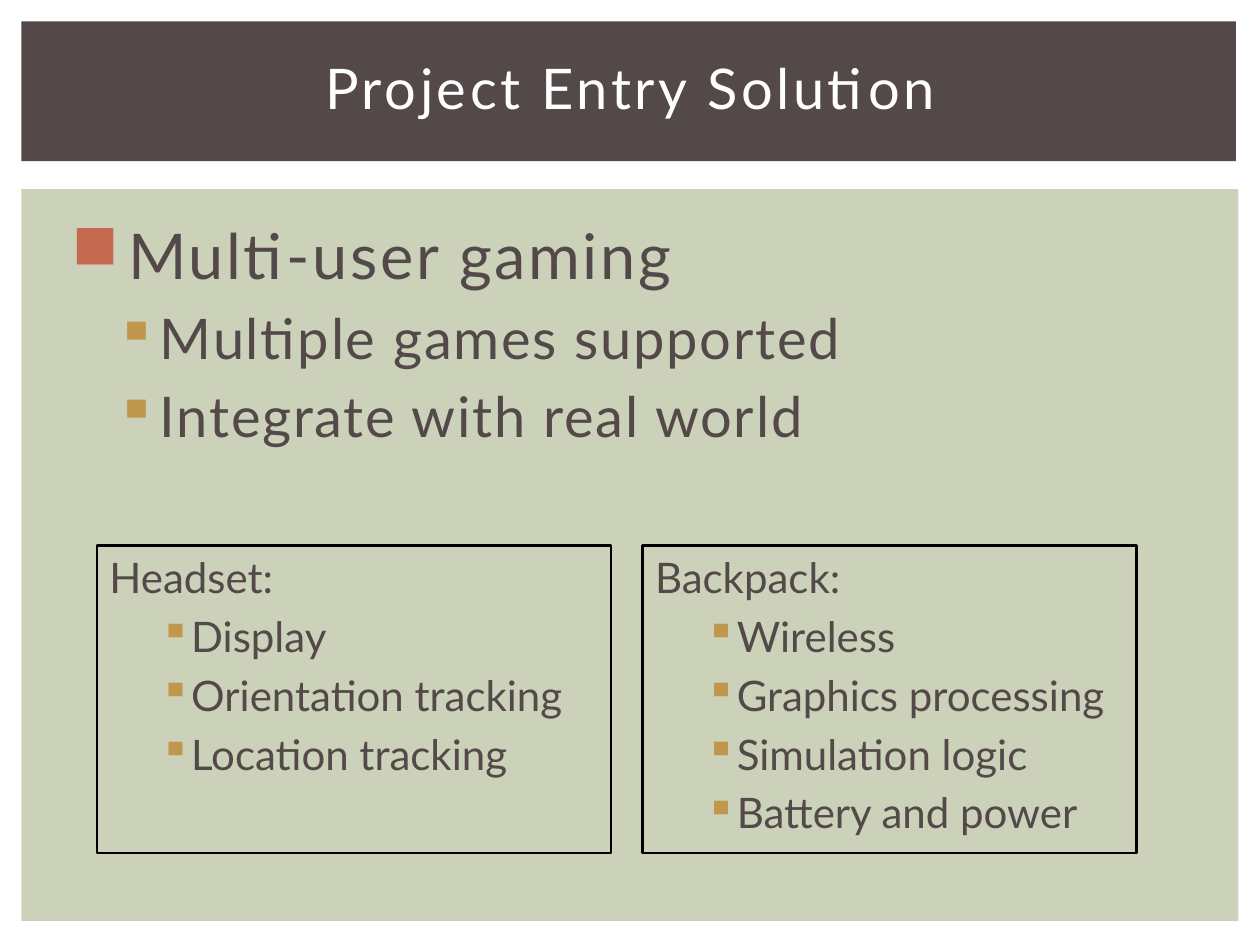
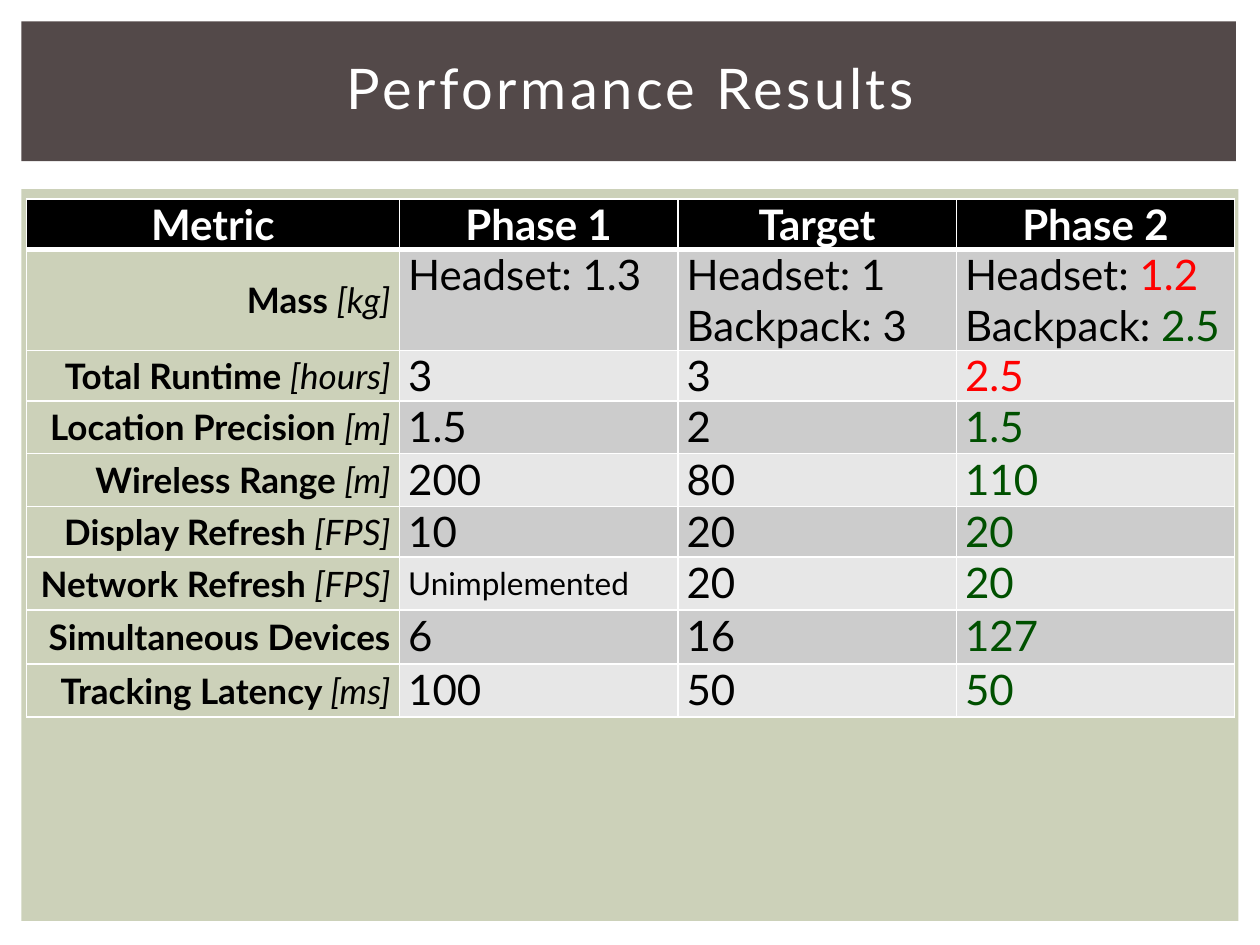
from lxml import etree
from pptx import Presentation
from pptx.dml.color import RGBColor
from pptx.enum.shapes import MSO_SHAPE as Shape
from pptx.enum.text import MSO_ANCHOR as Anchor, PP_ALIGN as Align
from pptx.oxml.ns import qn
from pptx.util import Inches, Pt

FONT = "Lato"
DARK, SAGE, WHITE, BLACK = "534949", "CCD1B9", "FFFFFF", "000000"
RUST, GOLD, RED, GREEN = "C66951", "BF974D", "FF0000", "005000"
STRIPES = "CCCCCC", "E7E7E7"

HEAD = 0.17, 0.17, 9.64, 1.11
BODY = 0.17, 1.5, 9.66, 5.81

METRICS = [
    ("Mass", "[kg]", ["Headset: 1.3"], ["Headset: 1", "Backpack: 3"],
     [("Headset: ", "1.2", RED), ("Backpack: ", "2.5", GREEN)]),
    ("Total Runtime", "[hours]", ["3"], ["3"], [("", "2.5", RED)]),
    ("Location Precision", "[m]", ["1.5"], ["2"], [("", "1.5", GREEN)]),
    ("Wireless Range", "[m]", ["200"], ["80"], [("", "110", GREEN)]),
    ("Display Refresh", "[FPS]", ["10"], ["20"], [("", "20", GREEN)]),
    ("Network Refresh", "[FPS]", ["Unimplemented"], ["20"], [("", "20", GREEN)]),
    ("Simultaneous Devices", "", ["6"], ["16"], [("", "127", GREEN)]),
    ("Tracking Latency", "[ms]", ["100"], ["50"], [("", "50", GREEN)]),
]
HEIGHTS = 0.4, 0.8, 0.4, 0.42, 0.42, 0.4, 0.42, 0.43, 0.42


def paint(color):
    return RGBColor.from_string(color)


def inset(box, left, top, width, height):
    """Place a part by its offset from the corner of a box."""
    return [Inches(v) for v in (box[0] + left, box[1] + top, width, height)]


def write(para, text, size=24, color=DARK, bold=False, italic=False,
          space=0, align=None):
    """Add one formatted run to a paragraph."""
    run = para.add_run()
    run.text = text
    font = run.font
    font.name, font.size = FONT, Pt(size)
    font.bold, font.italic = bold, italic
    font.color.rgb = paint(color)
    if space:
        run._r.get_or_add_rPr().set("spc", str(int(space * 100)))
    if align is not None:
        para.alignment = align


def fresh(frame):
    """Return the first paragraph while it is empty, then new ones."""
    first = frame.paragraphs[0]
    return frame.add_paragraph() if first.runs else first


def bullet(frame, text, mark, color, left, hang, size=24, level=1, space=0):
    para = fresh(frame)
    para.level = level
    para.space_before = Pt(size * 0.2)
    props = para._p.get_or_add_pPr()
    props.set("marL", str(Inches(left)))
    props.set("indent", str(-Inches(hang)))
    tint = etree.SubElement(props, qn("a:buClr"))
    etree.SubElement(tint, qn("a:srgbClr"), val=color)
    etree.SubElement(props, qn("a:buChar"), char=mark)
    write(para, text, size, space=space)


def rect(slide, place, fill=None, line=None):
    shape = slide.shapes.add_shape(Shape.RECTANGLE, *place)
    shape.shadow.inherit = False
    if fill:
        shape.fill.solid()
        shape.fill.fore_color.rgb = paint(fill)
    else:
        shape.fill.background()
    if line:
        shape.line.color.rgb = paint(line)
        shape.line.width = Pt(1.5)
    else:
        shape.line.fill.background()
    return shape


def share(slide):
    """Draw the bands and move them to the layout, behind its text."""
    tree = slide.slide_layout.element.cSld.spTree
    for box, fill in ((HEAD, DARK), (BODY, SAGE)):
        band = rect(slide, inset(box, 0, 0, *box[2:]), fill)
        tree.insert(2, band.element)


def title(slide, box, text):
    head = slide.shapes.title
    head.left, head.top, head.width, head.height = inset(box, 0.25, 0.22, 9.17, 0.61)
    frame = head.text_frame
    frame.vertical_anchor = Anchor.MIDDLE
    write(frame.paragraphs[0], text, 32, WHITE, space=2, align=Align.CENTER)


def points(slide, box):
    frame = slide.shapes.add_textbox(*inset(box, 0.25, 0.17, 9.19, 2.3)).text_frame
    frame.word_wrap = True
    bullet(frame, "Multi-user gaming", "■", RUST, 0.5, 0.45, 36, 0, 1.5)
    for text in ("Multiple games supported", "Integrate with real world"):
        bullet(frame, text, "▪", GOLD, 0.75, 0.35, 32, space=1)


def card(slide, place, name, items):
    frame = rect(slide, place, line=BLACK).text_frame
    frame.word_wrap = True
    frame.vertical_anchor = Anchor.TOP
    write(fresh(frame), name, align=Align.LEFT)
    for item in items:
        bullet(frame, item, "▪", GOLD, 0.6, 0.2)
    for para in frame.paragraphs:
        para.alignment = Align.LEFT


def style(cell, fill, base=1):
    """Set the insets, white borders and fill of a cell."""
    cell.margin_left = cell.margin_right = Inches(0.07)
    cell.margin_top = cell.margin_bottom = 0
    props = cell._tc.get_or_add_tcPr()
    for side, width in zip("LRTB", (1, 1, 1, base)):
        line = etree.SubElement(props, qn("a:ln" + side), w=str(Pt(width)))
        solid = etree.SubElement(line, qn("a:solidFill"))
        etree.SubElement(solid, qn("a:srgbClr"), val=WHITE)
    if fill:
        cell.fill.solid()
        cell.fill.fore_color.rgb = paint(fill)
    else:
        cell.fill.background()


def label(cell, name, unit):
    style(cell, None)
    cell.vertical_anchor = Anchor.MIDDLE
    para = cell.text_frame.paragraphs[0]
    write(para, name + (" " if unit else ""), 20, BLACK, bold=True, align=Align.RIGHT)
    if unit:
        write(para, unit, 20, BLACK, italic=True)


def grid(slide, box):
    place = inset(box, 0.04, 0.08, 9.58, sum(HEIGHTS))
    table = slide.shapes.add_table(len(HEIGHTS), 4, *place).table
    table.first_row = table.horz_banding = False
    for col, width in zip(table.columns, (2.96, 2.21, 2.21, 2.21)):
        col.width = Inches(width)
    for row, height in zip(table.rows, HEIGHTS):
        row.height = Inches(height)
    for col, text in enumerate(("Metric", "Phase 1", "Target", "Phase 2")):
        cell = table.cell(0, col)
        style(cell, BLACK, 3)
        write(cell.text_frame.paragraphs[0], text, color=WHITE, bold=True,
              align=Align.CENTER)
    for row, (name, unit, *cols) in enumerate(METRICS, 1):
        label(table.cell(row, 0), name, unit)
        for col, lines in enumerate(cols, 1):
            cell = table.cell(row, col)
            style(cell, STRIPES[(row - 1) % 2])
            for line in lines:
                para = fresh(cell.text_frame)
                if line == "Unimplemented":
                    cell.vertical_anchor = Anchor.MIDDLE
                    write(para, line, 18, BLACK)
                elif isinstance(line, str):
                    write(para, line, color=BLACK)
                else:
                    lead, value, color = line
                    if lead:
                        write(para, lead, color=BLACK)
                    write(para, value, color=color)


def entry(slide):
    title(slide, HEAD, "Project Entry Solution")
    points(slide, BODY)
    card(slide, inset(BODY, 0.6, 2.83, 4.08, 2.44), "Headset:",
         ("Display", "Orientation tracking", "Location tracking"))
    card(slide, inset(BODY, 4.93, 2.83, 3.92, 2.44), "Backpack:",
         ("Wireless", "Graphics processing", "Simulation logic", "Battery and power"))


def results(slide):
    title(slide, HEAD, "Performance Results")
    grid(slide, BODY)


def main():
    deck = Presentation()
    deck.slide_width, deck.slide_height = Inches(10), Inches(7.5)
    layout = deck.slide_layouts[5]
    first, second = (deck.slides.add_slide(layout) for _ in range(2))
    share(first)
    entry(first)
    results(second)
    deck.save("out.pptx")


if __name__ == "__main__":
    main()
